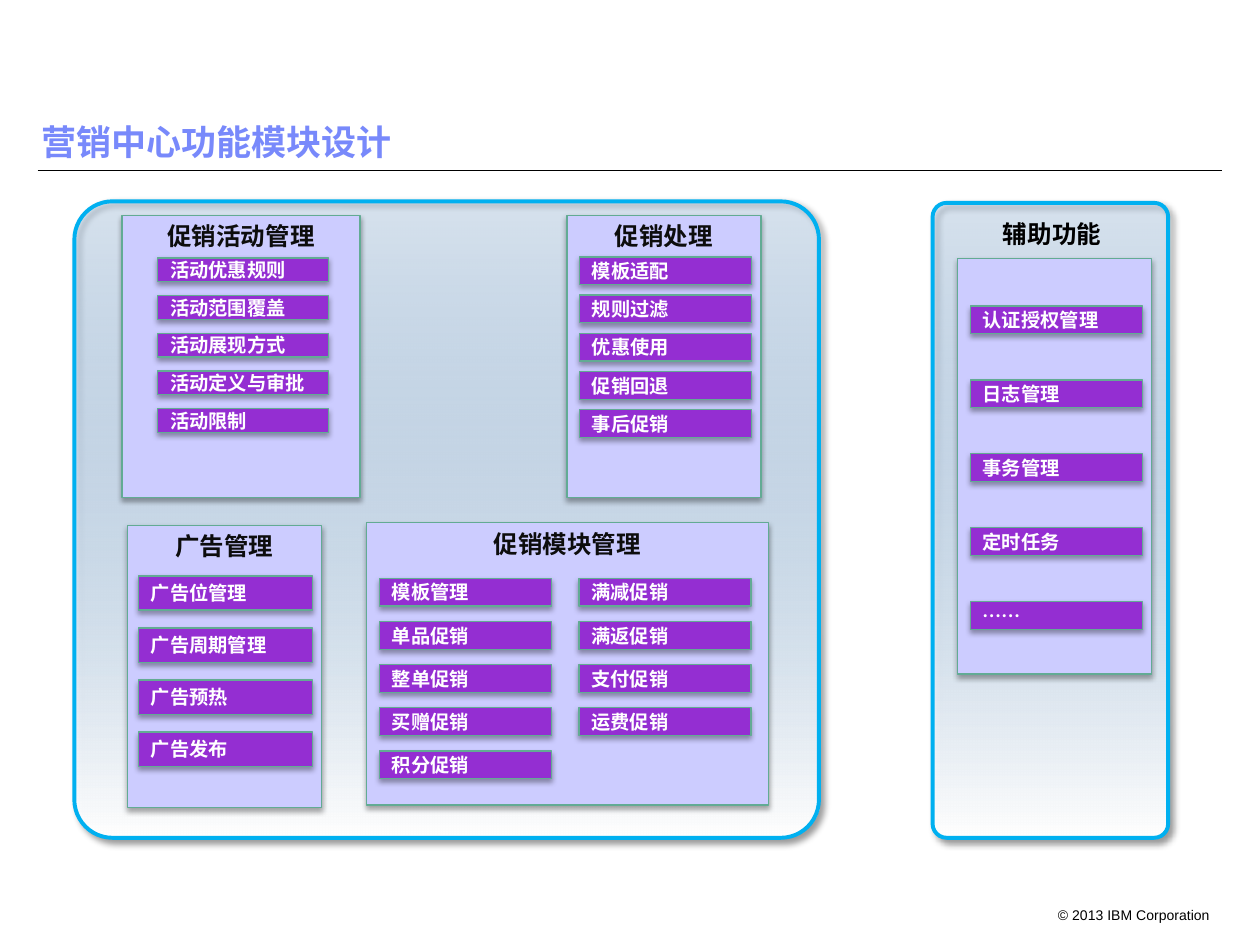
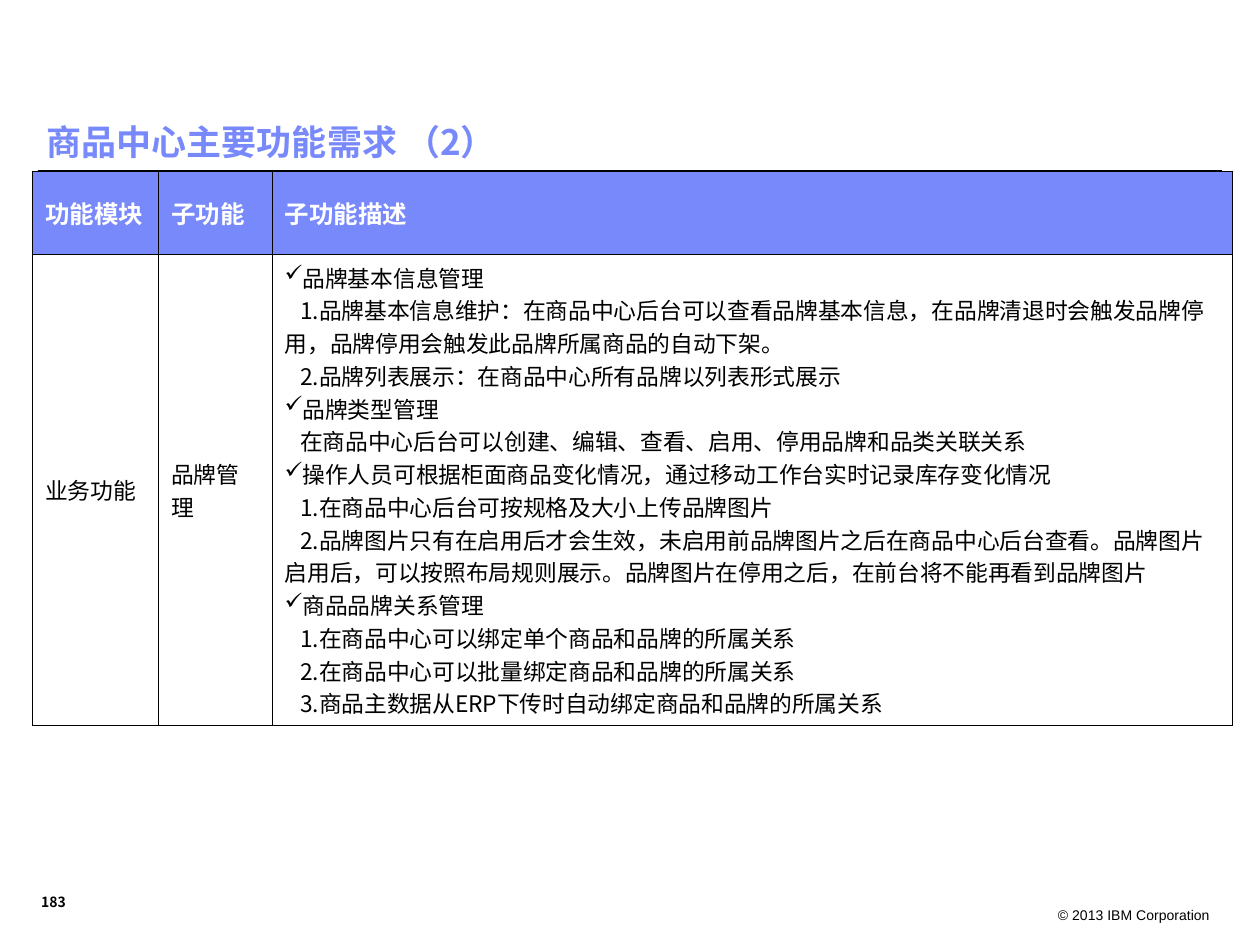
from lxml import etree
from pptx import Presentation
from pptx import util as u
from pptx.dml.color import RGBColor
from pptx.enum import shapes, text
from pptx.oxml import ns

FONT = "Noto Sans CJK SC"
ACCENT, BLACK, WHITE = "7889FB", "000000", "FFFFFF"
HEADING, MODULE, MODULE_EDGE, BUTTON = "0D0D0D", "CCCCFF", "62AB94", "942ED2"
PANEL, PANEL_EDGE = "99CCFF", "00B0F0"
MODULE_SHADOW = (35, 3.1, 1.8, 90)
PANEL_SHADOW = (40, 4, 3, 45)
COPYRIGHT = "© 2013 IBM Corporation"

MODULE_TITLE = "营销中心功能模块设计"
PANELS = [(1.5, 4.06, 15.01, 12.83), (18.8, 4.09, 4.75, 12.8)]
SUPPORT_HEADING = ("辅助功能", (19.94, 4.29, 2.54, 0.86))
COLUMN_STEP = 4.02
MODULES = [
    dict(heading="促销活动管理", box=(2.46, 4.34, 4.8, 5.69),
         button=(3.18, 5.2, 3.45, 0.48), pitch=0.76,
         columns=[["活动优惠规则", "活动范围覆盖", "活动展现方式", "活动定义与审批", "活动限制"]]),
    dict(heading="促销处理", box=(11.43, 4.34, 3.91, 5.69),
         button=(11.68, 5.18, 3.47, 0.56), pitch=0.77,
         columns=[["模板适配", "规则过滤", "优惠使用", "促销回退", "事后促销"]]),
    dict(heading="促销模块管理", box=(7.39, 10.54, 8.1, 5.69),
         button=(7.65, 11.66, 3.47, 0.56), pitch=0.87,
         columns=[["模板管理", "单品促销", "整单促销", "买赠促销", "积分促销"],
                  ["满减促销", "满返促销", "支付促销", "运费促销"]]),
    dict(heading="广告管理", box=(2.57, 10.59, 3.91, 5.69),
         button=(2.79, 11.61, 3.51, 0.69), pitch=1.05,
         columns=[["广告位管理", "广告周期管理", "广告预热", "广告发布"]]),
    dict(heading="", box=(19.3, 5.21, 3.91, 8.38),
         button=(19.56, 6.17, 3.47, 0.56), pitch=1.49,
         columns=[["认证授权管理", "日志管理", "事务管理", "定时任务", "……"]]),
]

REQUIREMENT_TITLE = "商品中心主要功能需求 （2）"
PAGE_NUMBER = "183"
TABLE_AT = (0.66, 3.45)
COLUMN_WIDTHS = [2.54, 2.29, 19.35]
ROW_HEIGHTS = [1.68, 9.5]
HEADERS = ["功能模块", "子功能", "子功能描述"]
LABELS = ["业务功能", "品牌管理"]
DESCRIPTION = [
    ("品牌基本信息管理", [
        "1.品牌基本信息维护：在商品中心后台可以查看品牌基本信息，在品牌清退时会触发品牌停用，品牌停用会触发此品牌所属商品的自动下架。",
        "2.品牌列表展示：在商品中心所有品牌以列表形式展示"]),
    ("品牌类型管理", [
        "在商品中心后台可以创建、编辑、查看、启用、停用品牌和品类关联关系"]),
    ("操作人员可根据柜面商品变化情况，通过移动工作台实时记录库存变化情况", [
        "1.在商品中心后台可按规格及大小上传品牌图片",
        "2.品牌图片只有在启用后才会生效，未启用前品牌图片之后在商品中心后台查看。品牌图片启用后，可以按照布局规则展示。品牌图片在停用之后，在前台将不能再看到品牌图片"]),
    ("商品品牌关系管理", [
        "1.在商品中心可以绑定单个商品和品牌的所属关系",
        "2.在商品中心可以批量绑定商品和品牌的所属关系",
        "3.商品主数据从ERP下传时自动绑定商品和品牌的所属关系"]),
]


def rgb(colour):
    return RGBColor.from_string(colour)


def cm(values):
    return [u.Cm(value) for value in values]


def add_xml(parent, tag, **attributes):
    element = etree.SubElement(parent, ns.qn(tag))
    for name, value in attributes.items():
        element.set(name, str(value))
    return element


def write(frame, content, size, colour=BLACK, bold=False, align="LEFT",
          anchor="TOP", font=FONT, spacing=None):
    frame.word_wrap = True
    frame.vertical_anchor = getattr(text.MSO_ANCHOR, anchor)
    frame.text = content
    for paragraph in frame.paragraphs:
        paragraph.alignment = getattr(text.PP_ALIGN, align)
        if spacing:
            paragraph.line_spacing = spacing
        for run in paragraph.runs:
            run.font.size = u.Pt(size)
            run.font.bold = bold
            run.font.color.rgb = rgb(colour)
            run.font.name = font
            add_xml(run._r.get_or_add_rPr(), "a:ea", typeface=font)


def add_text(slide, box, content, size, **style):
    write(slide.shapes.add_textbox(*cm(box)).text_frame, content, size, **style)


def add_box(slide, box, edge, width, shadow, kind="RECTANGLE"):
    shape = slide.shapes.add_shape(getattr(shapes.MSO_SHAPE, kind), *cm(box))
    shape.line.color.rgb = rgb(edge)
    shape.line.width = u.Pt(width)
    shape.shadow.inherit = False
    opacity, blur, distance, angle = shadow
    effects = shape._element.spPr.find(ns.qn("a:effectLst"))
    outer = add_xml(effects, "a:outerShdw", blurRad=u.Pt(blur), dist=u.Pt(distance),
                    dir=angle * 60000, algn="tl", rotWithShape=0)
    add_xml(add_xml(outer, "a:srgbClr", val=BLACK), "a:alpha", val=opacity * 1000)
    return shape


def add_panel(slide, box):
    panel = add_box(slide, box, PANEL_EDGE, 2.25, PANEL_SHADOW, "ROUNDED_RECTANGLE")
    panel.adjustments[0] = 0.06
    panel.fill.gradient()
    panel.fill.gradient_angle = 270
    for stop, colour, position in zip(panel.fill.gradient_stops, (PANEL, WHITE), (0, 1)):
        stop.color.rgb = rgb(colour)
        stop.position = position
    first_colour = panel._element.spPr.find(".//" + ns.qn("a:srgbClr"))
    add_xml(first_colour, "a:alpha", val=22000)


def add_filled_box(slide, box, colour):
    shape = add_box(slide, box, MODULE_EDGE, 0.75, MODULE_SHADOW)
    shape.fill.solid()
    shape.fill.fore_color.rgb = rgb(colour)
    return shape


def add_module(slide, module):
    card = add_filled_box(slide, module["box"], MODULE)
    if module["heading"]:
        write(card.text_frame, module["heading"], 14, HEADING, True, "CENTER")
    left, top, width, height = module["button"]
    for column, labels in enumerate(module["columns"]):
        for row, label in enumerate(labels):
            place = (left + column * COLUMN_STEP, top + row * module["pitch"], width, height)
            frame = add_filled_box(slide, place, BUTTON).text_frame
            frame.margin_top = frame.margin_bottom = 0
            write(frame, label, 11, WHITE, True, anchor="MIDDLE")


def add_slide(presentation, title, title_left):
    slide = presentation.slides.add_slide(presentation.slide_layouts[6])
    rule = slide.shapes.add_connector(shapes.MSO_CONNECTOR.STRAIGHT,
                                      *cm((0.76, 3.43, 24.64, 3.43)))
    rule.line.color.rgb = rgb(BLACK)
    rule.line.width = u.Pt(0.75)
    add_xml(rule._element.spPr, "a:effectLst")
    add_text(slide, (20.83, 18.16, 3.81, 0.51), COPYRIGHT, 8, align="RIGHT", font="Arial")
    add_text(slide, (title_left, 1.63, 24.13, 1.78), title, 20, colour=ACCENT, bold=True,
             anchor="BOTTOM", spacing=0.9)
    return slide


def style_cell(cell, fill=None):
    if fill:
        cell.fill.solid()
        cell.fill.fore_color.rgb = rgb(fill)
    else:
        cell.fill.background()
    properties = cell._tc.get_or_add_tcPr()
    for index, side in enumerate(("a:lnL", "a:lnR", "a:lnT", "a:lnB")):
        border = etree.Element(ns.qn(side), w=str(u.Pt(0.5)))
        add_xml(add_xml(border, "a:solidFill"), "a:srgbClr", val=BLACK)
        properties.insert(index, border)


def add_requirements(slide):
    size = (sum(COLUMN_WIDTHS), sum(ROW_HEIGHTS))
    table = slide.shapes.add_table(2, 3, *cm(TABLE_AT + size)).table
    table.first_row = table.horz_banding = False
    for column, width in zip(table.columns, COLUMN_WIDTHS):
        column.width = u.Cm(width)
    for row, height in zip(table.rows, ROW_HEIGHTS):
        row.height = u.Cm(height)
    lines = [(line, line == topic) for topic, details in DESCRIPTION
             for line in [topic] + details]
    body = LABELS + ["\n".join(line for line, _ in lines)]
    for column, (header, content) in enumerate(zip(HEADERS, body)):
        for row, words, style, fill in ((0, header, (14, WHITE, True), ACCENT),
                                        (1, content, (13,), None)):
            cell = table.cell(row, column)
            write(cell.text_frame, words, *style)
            cell.vertical_anchor = text.MSO_ANCHOR.MIDDLE
            cell.margin_left = cell.margin_right = u.Cm(0.25)
            cell.margin_top = cell.margin_bottom = u.Cm(0.13)
            style_cell(cell, fill)
    for paragraph, (_, is_topic) in zip(table.cell(1, 2).text_frame.paragraphs, lines):
        properties = paragraph._p.get_or_add_pPr()
        properties.set("marL", "0")
        properties.set("indent", str(0 if is_topic else u.Cm(0.31)))
        if is_topic:
            add_xml(add_xml(properties, "a:buClr"), "a:srgbClr", val=BLACK)
            add_xml(properties, "a:buChar", char="✓")
        else:
            add_xml(properties, "a:buNone")


def main():
    presentation = Presentation()
    presentation.slide_width, presentation.slide_height = cm((25.4, 19.05))

    slide = add_slide(presentation, MODULE_TITLE, 0.58)
    for box in PANELS:
        add_panel(slide, box)
    for module in MODULES:
        add_module(slide, module)
    heading, box = SUPPORT_HEADING
    add_text(slide, box, heading, 14, bold=True, align="CENTER")

    slide = add_slide(presentation, REQUIREMENT_TITLE, 0.69)
    add_requirements(slide)
    add_text(slide, (0.58, 17.86, 1.12, 0.61), PAGE_NUMBER, 8, bold=True, anchor="BOTTOM")

    presentation.save("out.pptx")


if __name__ == "__main__":
    main()
